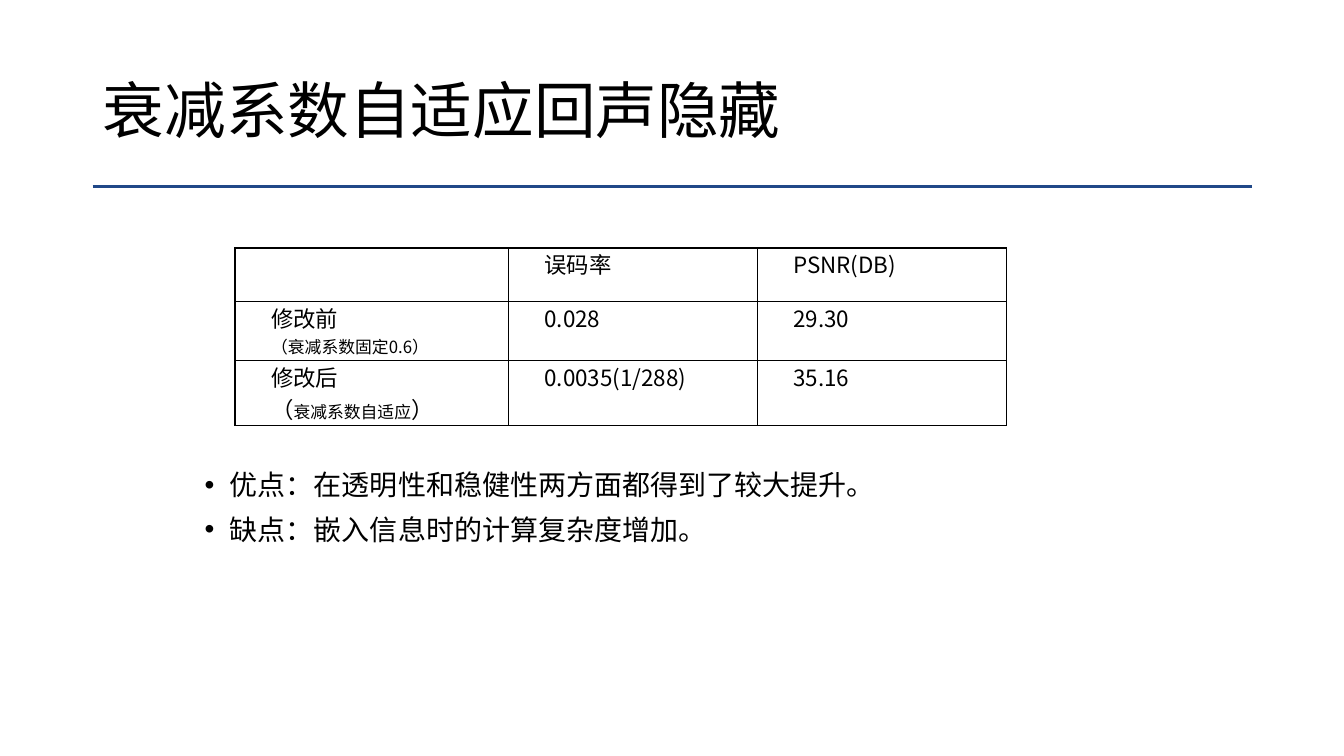
"""Build a slide comparing echo hiding before and after adaptive attenuation."""
import pptx
import pptx.dml.color
import pptx.enum.shapes
import pptx.enum.text
import pptx.oxml
import pptx.oxml.ns
import pptx.util
from lxml import etree
from pptx.util import Inches

FONT = "Noto Sans CJK SC"
BLACK = pptx.dml.color.RGBColor(0x00, 0x00, 0x00)
WHITE = pptx.dml.color.RGBColor(0xFF, 0xFF, 0xFF)
RULE_BLUE = pptx.dml.color.RGBColor(0x20, 0x48, 0x88)

COLUMN_WIDTHS = [2.71, 2.47, 2.47]
ROW_HEIGHTS = [0.53, 0.59, 0.53]
RESULTS = [
    [[], [[("误码率", 16)]], [[("PSNR(DB)", 16)]]],
    [
        [[("修改前", 16)], [("（衰减系数固定0.6）", 12)]],
        [[("0.028", 16)]],
        [[("29.30", 16)]],
    ],
    [
        [[("修改后", 16)], [("（", 16), ("衰减系数自适应", 12), ("）", 16)]],
        [[("0.0035(1/288)", 16)]],
        [[("35.16", 16)]],
    ],
]
REMARKS = [
    "优点：在透明性和稳健性两方面都得到了较大提升。",
    "缺点：嵌入信息时的计算复杂度增加。",
]


def add_child(parent, tag, **attributes):
    return etree.SubElement(parent, pptx.oxml.ns.qn(tag), attributes)


def format_run(run, size):
    run.font.name = FONT
    run.font.size = pptx.util.Pt(size)
    run.font.color.rgb = BLACK
    add_child(run.font._element, "a:ea", typeface=FONT)


def set_indent(para, left, first):
    properties = para._p.get_or_add_pPr()
    properties.set("marL", str(Inches(left)))
    properties.set("indent", str(Inches(first)))
    return properties


def add_title(slide, text):
    title = slide.shapes.title
    title.left, title.top = Inches(0.92), Inches(0.4)
    title.width, title.height = Inches(11.5), Inches(1.45)
    frame = title.text_frame
    frame.text = text
    frame.auto_size = pptx.enum.text.MSO_AUTO_SIZE.NONE
    frame.vertical_anchor = pptx.enum.text.MSO_ANCHOR.MIDDLE
    para = frame.paragraphs[0]
    para.alignment = pptx.enum.text.PP_ALIGN.LEFT
    para.line_spacing = 0.9
    format_run(para.runs[0], 44)


def add_rule(slide):
    rule = slide.shapes.add_connector(
        pptx.enum.shapes.MSO_CONNECTOR.STRAIGHT,
        Inches(0.92), Inches(1.85), Inches(12.42), Inches(1.85),
    )
    rule.line.color.rgb = RULE_BLUE
    rule.line.width = pptx.util.Pt(2)
    add_child(rule._element.spPr, "a:effectLst")


def style_cell(cell):
    cell.margin_left = cell.margin_right = Inches(0.07)
    cell.margin_top = cell.margin_bottom = 0
    properties = cell._tc.get_or_add_tcPr()
    for side in ("a:lnL", "a:lnR", "a:lnT", "a:lnB"):
        border = add_child(properties, side, w=str(pptx.util.Pt(1)))
        add_child(add_child(border, "a:solidFill"), "a:srgbClr", val=str(BLACK))
    cell.fill.solid()
    cell.fill.fore_color.rgb = WHITE


def fill_cell(cell, lines):
    style_cell(cell)
    frame = cell.text_frame
    for number, pieces in enumerate(lines):
        para = frame.add_paragraph() if number else frame.paragraphs[0]
        set_indent(para, 0, 0.29)
        for text, size in pieces:
            run = para.add_run()
            run.text = text
            format_run(run, size)


def add_results(slide):
    table = slide.shapes.add_table(
        len(ROW_HEIGHTS), len(COLUMN_WIDTHS), Inches(2.33), Inches(2.46),
        Inches(sum(COLUMN_WIDTHS)), Inches(sum(ROW_HEIGHTS)),
    ).table
    table.first_row = table.horz_banding = False
    for column, width in zip(table.columns, COLUMN_WIDTHS):
        column.width = Inches(width)
    for row, height, contents in zip(table.rows, ROW_HEIGHTS, RESULTS):
        row.height = Inches(height)
        for cell, lines in zip(row.cells, contents):
            fill_cell(cell, lines)


def add_bullets(slide, texts):
    box = slide.shapes.add_textbox(
        Inches(1.93), Inches(4.63), Inches(8.99), Inches(2.01)
    )
    frame = box.text_frame
    frame.word_wrap = True
    frame.text = "\n".join(texts)
    for para in frame.paragraphs:
        para.line_spacing = 0.9
        para.space_before = pptx.util.Pt(10)
        properties = set_indent(para, 0.25, -0.25)
        add_child(properties, "a:buFont", typeface="Arial")
        add_child(properties, "a:buChar", char="•")
        format_run(para.runs[0], 20)


def main():
    deck = pptx.Presentation()
    deck.slide_width, deck.slide_height = Inches(13.33), Inches(7.5)
    slide = deck.slides.add_slide(deck.slide_layouts.get_by_name("Title Only"))
    add_title(slide, "衰减系数自适应回声隐藏")
    add_rule(slide)
    add_results(slide)
    add_bullets(slide, REMARKS)
    deck.save("out.pptx")


if __name__ == "__main__":
    main()
